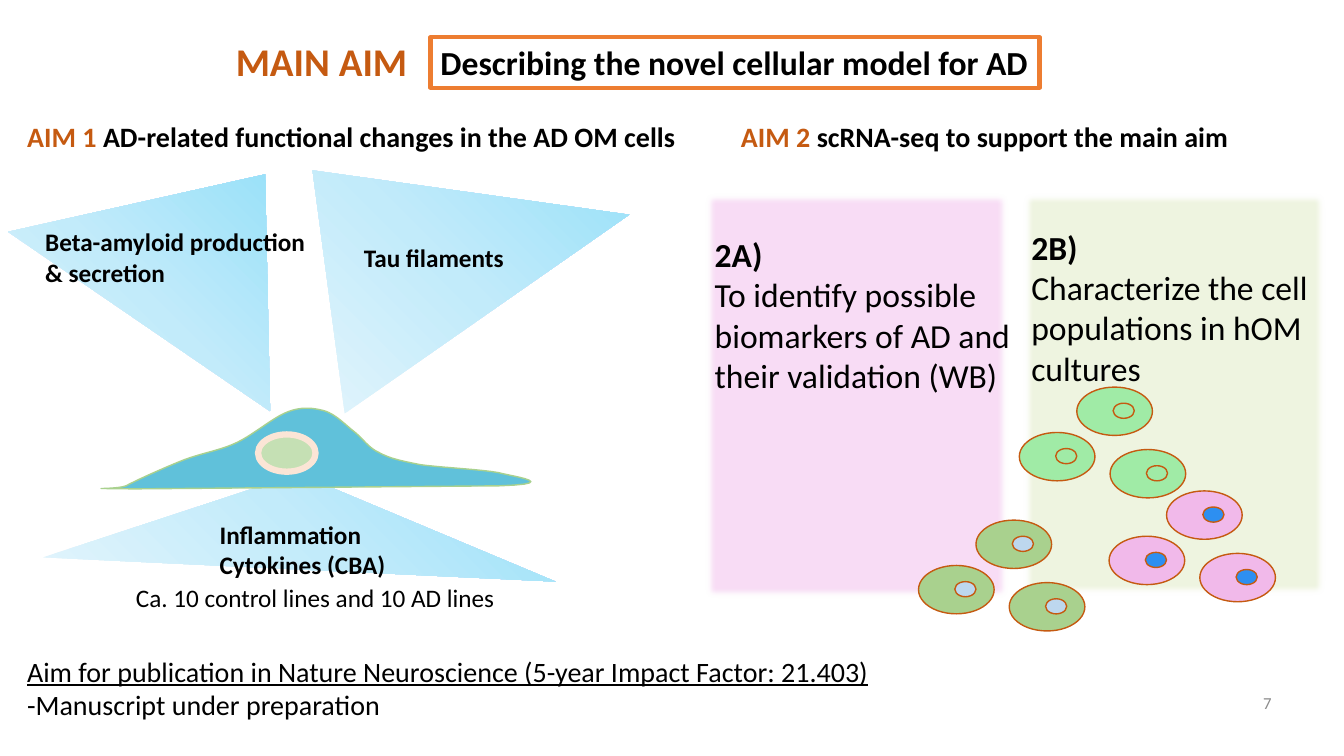
from dataclasses import dataclass

from lxml.etree import SubElement
from pptx import Presentation
from pptx.dml.color import RGBColor
from pptx.enum.shapes import MSO_SHAPE
from pptx.enum.text import MSO_ANCHOR, PP_ALIGN
from pptx.oxml import parse_xml
from pptx.oxml.ns import nsdecls, qn
from pptx.util import Inches, Pt


@dataclass(frozen=True)
class Theme:
    font: str = "Calibri"
    black: str = "000000"
    accent: str = "C55A11"
    frame: str = "ED7D31"
    muted: str = "8C8C8C"
    pink_panel: str = "F8DCF5"
    green_panel: str = "EEF4E0"
    beam: tuple = ((0, "9BE1F9"), (50, "C2EBFA"), (100, "E1F4FC"))
    neuron: str = "60C1DA"
    olive: str = "A9D18E"
    nucleus: str = "C5E0B4"
    membrane: str = "FBE5D6"
    pale_blue: str = "BDD7EE"
    mint: str = "A0EBA6"
    pink: str = "F1B9EA"
    blue: str = "2D8FF1"
    title: int = 28
    large: int = 24
    heading: int = 20
    label: int = 18
    small: int = 12


THEME = Theme()

BEAMS = [
    [(0.08, 2.3), (2.68, 4.08), (2.63, 1.73)],
    [(6.24, 2.13), (3.42, 4.1), (3.1, 1.69)],
    [(0.43, 5.53), (2.96, 4.7), (5.51, 5.77)],
]

# Cluster origin, cell colour, nucleus colour
CLUSTERS = [
    (9.11, 5.16, THEME.olive, THEME.pale_blue),
    (10.11, 3.84, THEME.mint, THEME.mint),
    (11.0, 4.87, THEME.pink, THEME.blue),
]
CELL_OFFSETS = [(0, 0.45), (0.57, 0), (0.9, 0.62)]

NEURON_START = [(1.32, 4.85), (4.95, 4.82)]
# Each curve: two control points, then the end point
NEURON_CURVES = [
    [(5.56, 4.8), (5.12, 4.73), (4.99, 4.7)],
    [(4.86, 4.66), (4.38, 4.64), (4.17, 4.61)],
    [(3.97, 4.57), (3.87, 4.55), (3.76, 4.49)],
    [(3.65, 4.44), (3.6, 4.35), (3.51, 4.28)],
    [(3.42, 4.21), (3.34, 4.12), (3.23, 4.08)],
    [(3.13, 4.05), (3.01, 4.03), (2.87, 4.08)],
    [(2.72, 4.13), (2.52, 4.31), (2.35, 4.39)],
    [(2.18, 4.47), (2.02, 4.49), (1.83, 4.56)],
    [(1.65, 4.63), (1.34, 4.77), (1.25, 4.82)],
    [(1.16, 4.86), (0.7, 4.84), (1.32, 4.85)],
]


def paint(sp, fill=None, line=None, width=1):
    sp.shadow.inherit = False
    if fill:
        sp.fill.solid()
        sp.fill.fore_color.rgb = RGBColor.from_string(fill)
    else:
        sp.fill.background()
    if line:
        sp.line.color.rgb = RGBColor.from_string(line)
        sp.line.width = Pt(width)
    else:
        sp.line.fill.background()
    return sp


def add_preset(shapes, kind, box, **style):
    return paint(shapes.add_shape(kind, *map(Inches, box)), **style)


def add_outline(shapes, points, **style):
    (x, y), *rest = [(Inches(px), Inches(py)) for px, py in points]
    builder = shapes.build_freeform(x, y)
    builder.add_line_segments(rest, close=True)
    return paint(builder.convert_to_shape(), **style)


def write(sp, paragraphs, size=THEME.label, color=THEME.black, bold=False,
          underline=False, align=PP_ALIGN.LEFT, anchor=MSO_ANCHOR.TOP, wrap=False):
    """Fill a shape with paragraphs, each a list of (text, overrides) runs."""
    tf = sp.text_frame
    tf.word_wrap = wrap
    tf.vertical_anchor = anchor
    base = {"size": size, "color": color, "bold": bold, "underline": underline}
    for i, runs in enumerate(paragraphs):
        p = tf.paragraphs[0] if i == 0 else tf.add_paragraph()
        p.alignment = align
        for text, overrides in runs:
            style = base | overrides
            r = p.add_run()
            r.text = text
            r.font.name = THEME.font
            r.font.size = Pt(style["size"])
            r.font.bold = style["bold"]
            r.font.underline = style["underline"]
            r.font.color.rgb = RGBColor.from_string(style["color"])


def add_text(shapes, box, paragraphs, **style):
    write(shapes.add_textbox(*map(Inches, box)), paragraphs, **style)


def add_soft_panel(shapes, box, fill):
    sp = add_preset(shapes, MSO_SHAPE.RECTANGLE, box, fill=fill)
    effects = sp._element.spPr.find(qn("a:effectLst"))
    SubElement(effects, qn("a:softEdge"), rad=str(Pt(5)))


def add_beam(shapes, points):
    """Triangle shaded radially from its top right corner."""
    spPr = add_outline(shapes, points)._element.spPr
    stops = "".join(
        f'<a:gs pos="{pos * 1000}"><a:srgbClr val="{color}"/></a:gs>'
        for pos, color in THEME.beam)
    gradient = parse_xml(
        f'<a:gradFill {nsdecls("a")}><a:gsLst>{stops}</a:gsLst><a:path path="circle">'
        '<a:fillToRect l="100000" b="100000"/></a:path></a:gradFill>')
    spPr.replace(spPr.find(qn("a:noFill")), gradient)


def add_cluster(shapes, left, top, cell, nucleus):
    group = shapes.add_group_shape().shapes
    for dx, dy in CELL_OFFSETS:
        x, y = left + dx, top + dy
        add_preset(group, MSO_SHAPE.OVAL, (x, y, 0.75, 0.48), fill=cell, line=THEME.accent)
        add_preset(group, MSO_SHAPE.OVAL, (x + 0.36, y + 0.16, 0.21, 0.15),
                   fill=nucleus, line=THEME.accent)


def curve_points(start, c1, c2, end, steps=10):
    """Points along a cubic Bezier curve, without its start."""
    for t in (i / steps for i in range(1, steps + 1)):
        u = 1 - t
        yield tuple(u**3 * a + 3 * u * u * t * b + 3 * u * t * t * c + t**3 * d
                    for a, b, c, d in zip(start, c1, c2, end))


def add_neuron(shapes):
    points = list(NEURON_START)
    for curve in NEURON_CURVES:
        points.extend(curve_points(points[-1], *curve))
    group = shapes.add_group_shape().shapes
    add_outline(group, points, fill=THEME.neuron, line=THEME.olive)
    add_preset(group, MSO_SHAPE.OVAL, (2.56, 4.31, 0.57, 0.37),
               fill=THEME.nucleus, line=THEME.membrane, width=4.5)


def add_title(shapes):
    group = shapes.add_group_shape().shapes
    frame = add_preset(group, MSO_SHAPE.RECTANGLE, (4.27, 0.37, 6.04, 0.5),
                       line=THEME.frame, width=3)
    write(frame, [[("Describing the novel cellular model for AD", {})]],
          size=THEME.large, bold=True, wrap=True)
    add_text(group, (2.24, 0.32, 1.93, 0.57), [[("MAIN AIM", {})]],
             size=THEME.title, color=THEME.accent, bold=True)


def add_aim(shapes, box, number, text):
    add_text(shapes, box, [[(f"AIM {number} ", {"color": THEME.accent}), (text, {})]],
             size=THEME.heading, bold=True)


def add_subaim(shapes, left, top, name, text):
    add_text(shapes, (left, top, 3.48, 1.72), [[(name, {"bold": True})], [(text, {})]],
             size=THEME.large, wrap=True)


def main():
    prs = Presentation()
    prs.slide_width, prs.slide_height = Inches(13.33), Inches(7.5)
    shapes = prs.slides.add_slide(prs.slide_layouts[6]).shapes

    add_soft_panel(shapes, (10.13, 1.9, 3.03, 4.02), THEME.green_panel)
    add_soft_panel(shapes, (6.98, 1.9, 3.03, 4.05), THEME.pink_panel)
    for points in BEAMS:
        add_beam(shapes, points)
    add_text(shapes, (12.18, 6.84, 0.53, 0.27), [[("7", {})]], size=THEME.small,
             color=THEME.muted, align=PP_ALIGN.RIGHT, anchor=MSO_ANCHOR.MIDDLE, wrap=True)
    for cluster in CLUSTERS:
        add_cluster(shapes, *cluster)

    add_title(shapes)
    add_text(shapes, (2.08, 5.1, 1.86, 0.71),
             [[("Inflammation", {})], [("Cytokines (CBA)", {})]], bold=True)
    add_aim(shapes, (7.25, 1.14, 5.07, 0.44), 2, "scRNA-seq to support the main aim")
    add_subaim(shapes, 10.13, 2.2, "2B)", "Characterize the cell populations in hOM cultures")
    add_subaim(shapes, 6.99, 2.27, "2A)",
               "To identify possible biomarkers of AD and their validation (WB)")
    add_neuron(shapes)
    add_text(shapes, (0.35, 2.2, 2.8, 1.31),
             [[("Beta-amyloid production", {})], [("& secretion", {})]], bold=True)
    add_text(shapes, (3.51, 2.35, 1.6, 0.4), [[("Tau filaments", {})]], bold=True)
    add_aim(shapes, (0.17, 1.14, 6.69, 0.64), 1,
            "AD-related functional changes in the AD OM cells")
    publication = "Aim for publication in Nature Neuroscience (5-year Impact Factor: 21.403)"
    add_text(shapes, (0.17, 6.44, 8.63, 0.77),
             [[(publication, {"underline": True})], [("-Manuscript under preparation", {})]],
             size=THEME.heading)
    add_text(shapes, (1.25, 5.73, 3.8, 0.4), [[("Ca. 10 control lines and 10 AD lines", {})]])
    prs.save("out.pptx")


if __name__ == "__main__":
    main()
